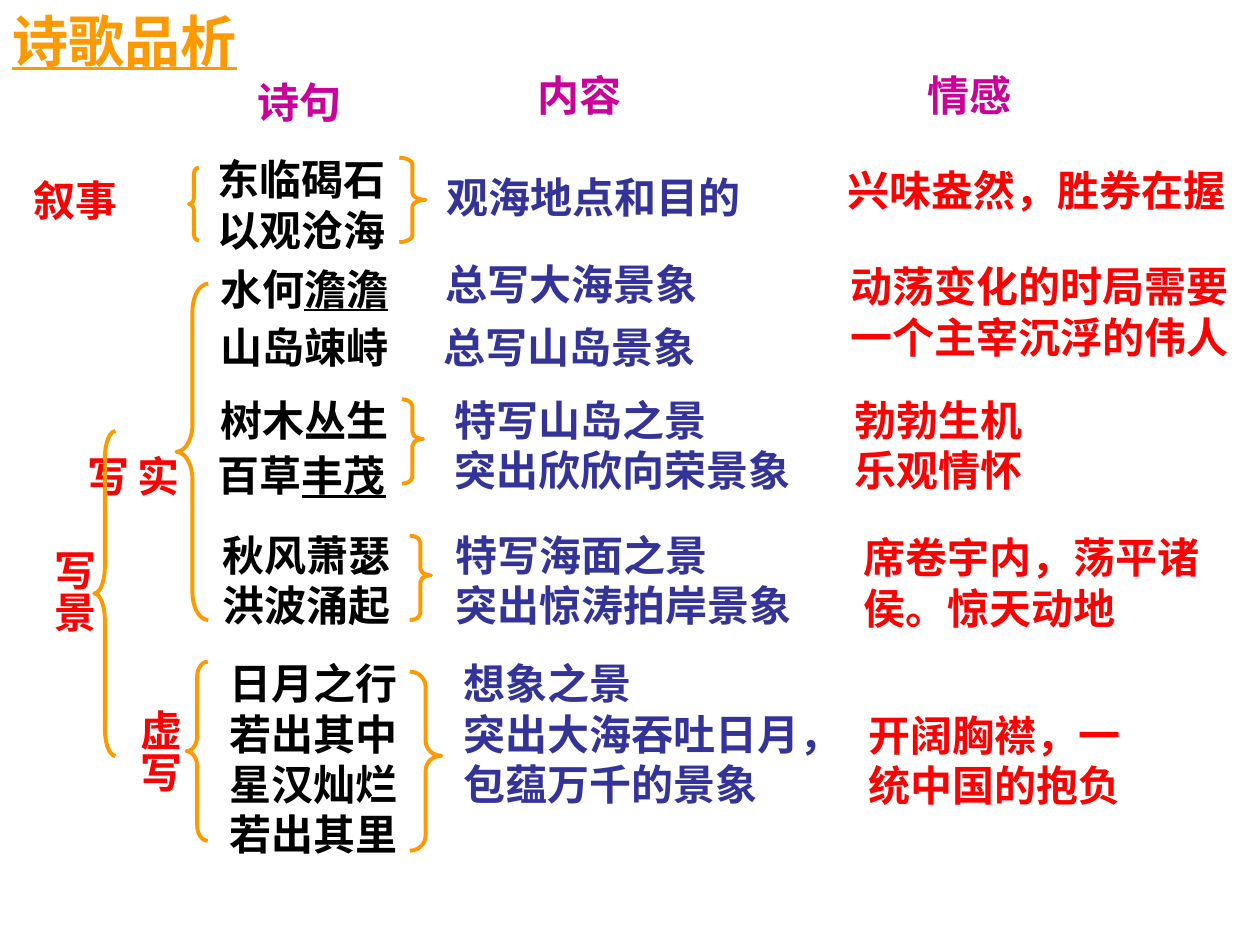
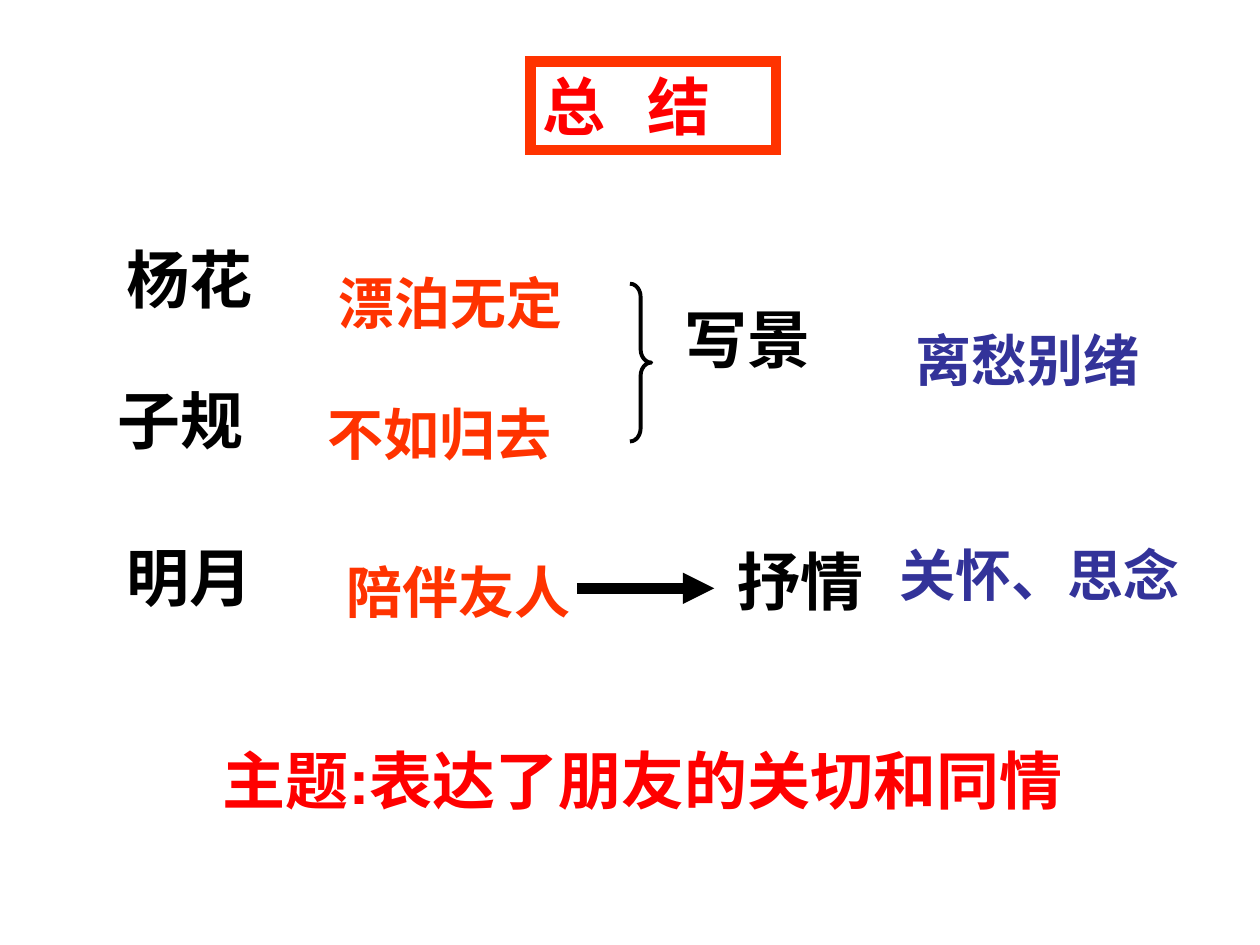
from dataclasses import dataclass

from lxml import etree
from pptx import Presentation
from pptx.dml.color import RGBColor
from pptx.enum.shapes import MSO_CONNECTOR, MSO_SHAPE
from pptx.enum.text import MSO_ANCHOR, MSO_AUTO_SIZE, PP_ALIGN
from pptx.oxml.ns import qn
from pptx.util import Cm, Pt

LEFT_BRACE, RIGHT_BRACE = MSO_SHAPE.LEFT_BRACE, MSO_SHAPE.RIGHT_BRACE
STRAIGHT = MSO_CONNECTOR.STRAIGHT
TOP, LEFT = MSO_ANCHOR.TOP, PP_ALIGN.LEFT
FIXED = MSO_AUTO_SIZE.NONE
TITLE_ONLY = 5
CM_PER_PT = 2.54 / 72
WIDE_INSET, NARROW_INSET = 0.25, 0.13
SLACK = 0.2  # spare width that keeps a line from wrapping


@dataclass(frozen=True)
class Theme:
    orange: str = "FF9900"
    magenta: str = "CC0099"
    red: str = "FF0000"
    vermilion: str = "FF3300"
    indigo: str = "333399"
    black: str = "000000"
    serif: str = "Times New Roman"
    sans: str = "Arial"
    heiti: str = "Noto Sans CJK SC"
    body: int = 24
    large: int = 32
    huge: int = 36
    thin: float = 2.25
    thick: float = 6


THEME = Theme()


class Board:
    """Holds the style and the slide being filled."""

    def __init__(self, deck, font):
        self.slide = deck.slides.add_slide(deck.slide_layouts[TITLE_ONLY])
        self.font = font

    def run(self, paragraph, text, size, color, underline=False, font=None):
        run = paragraph.add_run()
        run.text = text
        style = run.font
        style.name = font or self.font
        style.size, style.bold = Pt(size), True
        style.color.rgb = RGBColor.from_string(color)
        if underline:
            style.underline = True
        east_asian = etree.SubElement(run._r.get_or_add_rPr(), qn("a:ea"))
        east_asian.set("typeface", font or THEME.sans)
        return run

    def frame(self, shape, wrap=True):
        frame = shape.text_frame
        frame.word_wrap, frame.auto_size = wrap, FIXED
        frame.vertical_anchor = TOP
        frame.margin_left = frame.margin_right = Cm(WIDE_INSET)
        frame.margin_top = frame.margin_bottom = Cm(NARROW_INSET)
        return frame

    def title(self, left, top, width, height):
        """Places the title and returns it with its empty paragraph."""
        title = self.slide.shapes.title
        title.left, title.top = Cm(left), Cm(top)
        title.width, title.height = Cm(width), Cm(height)
        paragraph = self.frame(title).paragraphs[0]
        paragraph.alignment = LEFT
        return title, paragraph

    def text(self, left, top, lines, color, size=THEME.body, width=None, rows=None):
        """A line is a tuple of runs; its second run is underlined.
        Without a width the box is as wide as its longest line."""
        lines = [(line,) if isinstance(line, str) else line for line in lines]
        longest = max(len("".join(line)) for line in lines)
        box_width = width or longest * size * CM_PER_PT + 2 * WIDE_INSET + SLACK
        height = (rows or len(lines)) * size * 1.2 * CM_PER_PT + 2 * NARROW_INSET
        box = self.slide.shapes.add_textbox(Cm(left), Cm(top), Cm(box_width), Cm(height))
        frame = self.frame(box)
        for index, line in enumerate(lines):
            paragraph = frame.add_paragraph() if index else frame.paragraphs[0]
            for position, words in enumerate(line):
                self.run(paragraph, words, size, color, underline=position == 1)

    def vertical_text(self, left, top, height, words, color, wrap=False):
        box = self.slide.shapes.add_textbox(Cm(left), Cm(top), Cm(1.52), Cm(height))
        frame = self.frame(box, wrap)
        frame.margin_left = frame.margin_right = Cm(NARROW_INSET)
        frame.margin_top = frame.margin_bottom = Cm(WIDE_INSET)
        frame._txBody.bodyPr.set("vert", "eaVert")
        self.run(frame.paragraphs[0], words, THEME.body, color)

    def brace(self, kind, left, top, width, height, color, tip=0.5):
        brace = self.slide.shapes.add_shape(kind, Cm(left), Cm(top), Cm(width), Cm(height))
        brace.adjustments[0] = height / 12 / width
        brace.adjustments[1] = tip
        brace.shadow.inherit = False
        brace.fill.background()
        brace.line.color.rgb = RGBColor.from_string(color)
        brace.line.width = Pt(THEME.thin)

    def arrow(self, left, top, right, color):
        arrow = self.slide.shapes.add_connector(
            STRAIGHT, Cm(left), Cm(top), Cm(right), Cm(top))
        arrow.line.color.rgb = RGBColor.from_string(color)
        arrow.line.width = Pt(THEME.thick)
        etree.SubElement(arrow.line._get_or_add_ln(), qn("a:tailEnd")).set("type", "triangle")
        etree.SubElement(arrow._element.spPr, qn("a:effectLst"))


def build_analysis(deck):
    board = Board(deck, THEME.serif)
    _, heading = board.title(0, 0, 5.23, 1.63)
    board.run(heading, "诗歌品析", THEME.large, THEME.orange, underline=True)

    # Column headings
    for left, top, column in ((4.95, 1.42, "诗句"), (10.59, 1.27, "内容"), (18.44, 1.27, "情感")):
        board.text(left, top, [column], THEME.magenta)

    # Verses
    verses = (
        (4.14, 2.97, ["东临碣石", "以观沧海"]),
        (4.19, 5.18, [("水何", "澹澹")]),
        (4.19, 6.35, ["山岛竦峙"]),
        (4.19, 7.82, ["树木丛生"]),
        (4.14, 8.94, [("百草", "丰茂")]),
        (4.24, 10.54, ["秋风萧瑟", "洪波涌起"]),
        (4.37, 13.13, ["日月之行", "若出其中", "星汉灿烂", "若出其里"]),
    )
    # What each verse describes
    contents = (
        (8.76, 3.33, ["观海地点和目的"]),
        (8.74, 5.08, ["总写大海景象"]),
        (8.69, 6.35, ["总写山岛景象"]),
        (8.92, 7.82, ["特写山岛之景", "突出欣欣向荣景象"]),
        (8.94, 10.54, ["特写海面之景", "突出惊涛拍岸景象"]),
        (9.09, 13.13, ["想象之景", "突出大海吞吐日月，", "包蕴万千的景象"]),
    )
    for color, column in ((THEME.black, verses), (THEME.indigo, contents)):
        for left, top, lines in column:
            board.text(left, top, lines, color)

    # Feelings
    board.text(16.84, 3.18, ["兴味盎然，胜券在握"], THEME.red)
    board.text(16.97, 7.82, ["勃勃生机", "乐观情怀"], THEME.red)
    for left, top, width, feeling in (
        (16.89, 5.13, 8.31, "动荡变化的时局需要一个主宰沉浮的伟人"),
        (17.15, 10.59, 7.44, "席卷宇内，荡平诸侯。惊天动地"),
        (17.25, 14.17, 5.92, "开阔胸襟，一统中国的抱负"),
    ):
        board.text(left, top, [feeling], THEME.red, width=width, rows=2)

    # Ways of writing
    board.text(0.43, 3.38, ["叙事"], THEME.red)
    board.vertical_text(2.34, 14.05, 1.96, "虚写", THEME.red)
    board.vertical_text(2.29, 8.94, 2.13, "实写", THEME.red, wrap=True)
    board.vertical_text(0.61, 10.83, 1.96, "写景", THEME.red)

    # Braces that group the verses
    for kind, *place, tip in (
        (LEFT_BRACE, 3.81, 3.38, 0.2, 1.47, 0.5),
        (LEFT_BRACE, 3.56, 5.72, 0.64, 6.78, 0.5),
        (LEFT_BRACE, 3.76, 13.34, 0.43, 3.61, 0.5),
        (LEFT_BRACE, 1.9, 8.69, 0.43, 6.55, 0.5),
        (RIGHT_BRACE, 8.05, 3.18, 0.53, 1.7, 0.5),
        (RIGHT_BRACE, 8.1, 8.05, 0.43, 1.7, 0.47),
        (RIGHT_BRACE, 8.26, 10.8, 0.43, 1.7, 0.47),
        (RIGHT_BRACE, 8.26, 13.54, 0.64, 3.61, 0.47),
    ):
        board.brace(kind, *place, THEME.orange, tip)


def build_summary(deck):
    board = Board(deck, THEME.sans)

    # Framed title, with the two characters spread apart
    frame, heading = board.title(10.69, 1.24, 4.95, 1.78)
    frame.line.color.rgb = RGBColor.from_string(THEME.vermilion)
    frame.line.width = Pt(THEME.thick)
    etree.SubElement(frame.line._get_or_add_ln(), qn("a:miter")).set("lim", "800000")
    for words in ("总", " ", "结"):
        run = board.run(heading, words, THEME.huge, THEME.red, font=THEME.heiti)
        if words == " ":
            run._r.get_or_add_rPr().set("spc", "1600")

    # Images, their meaning, the technique and the feeling
    columns = (
        (THEME.black, THEME.huge, (
            (2.31, 4.72, "杨花"), (2.11, 7.57, "子规"), (2.31, 10.72, "明月"),
            (13.54, 5.92, "写景"), (14.61, 10.8, "抒情"))),
        (THEME.vermilion, THEME.large, (
            (6.58, 5.28, "漂泊无定"), (6.35, 7.92, "不如归去"), (6.73, 11.1, "陪伴友人"))),
        (THEME.indigo, THEME.large, (
            (18.2, 6.43, "离愁别绪"), (17.88, 10.77, "关怀、思念"))),
    )
    for color, size, entries in columns:
        for left, top, words in entries:
            board.text(left, top, [words], color, size)
    board.brace(RIGHT_BRACE, 12.7, 5.72, 0.43, 3.18, THEME.black)
    board.arrow(11.63, 11.86, 14.4, THEME.black)

    # Theme of the poem
    board.text(4.24, 14.81, ["主题:表达了朋友的关切和同情"], THEME.red, THEME.huge,
               width=17.78, rows=2)


def main():
    deck = Presentation()
    deck.slide_width, deck.slide_height = Cm(25.4), Cm(19.05)
    build_analysis(deck)
    build_summary(deck)
    deck.save("out.pptx")


if __name__ == "__main__":
    main()
